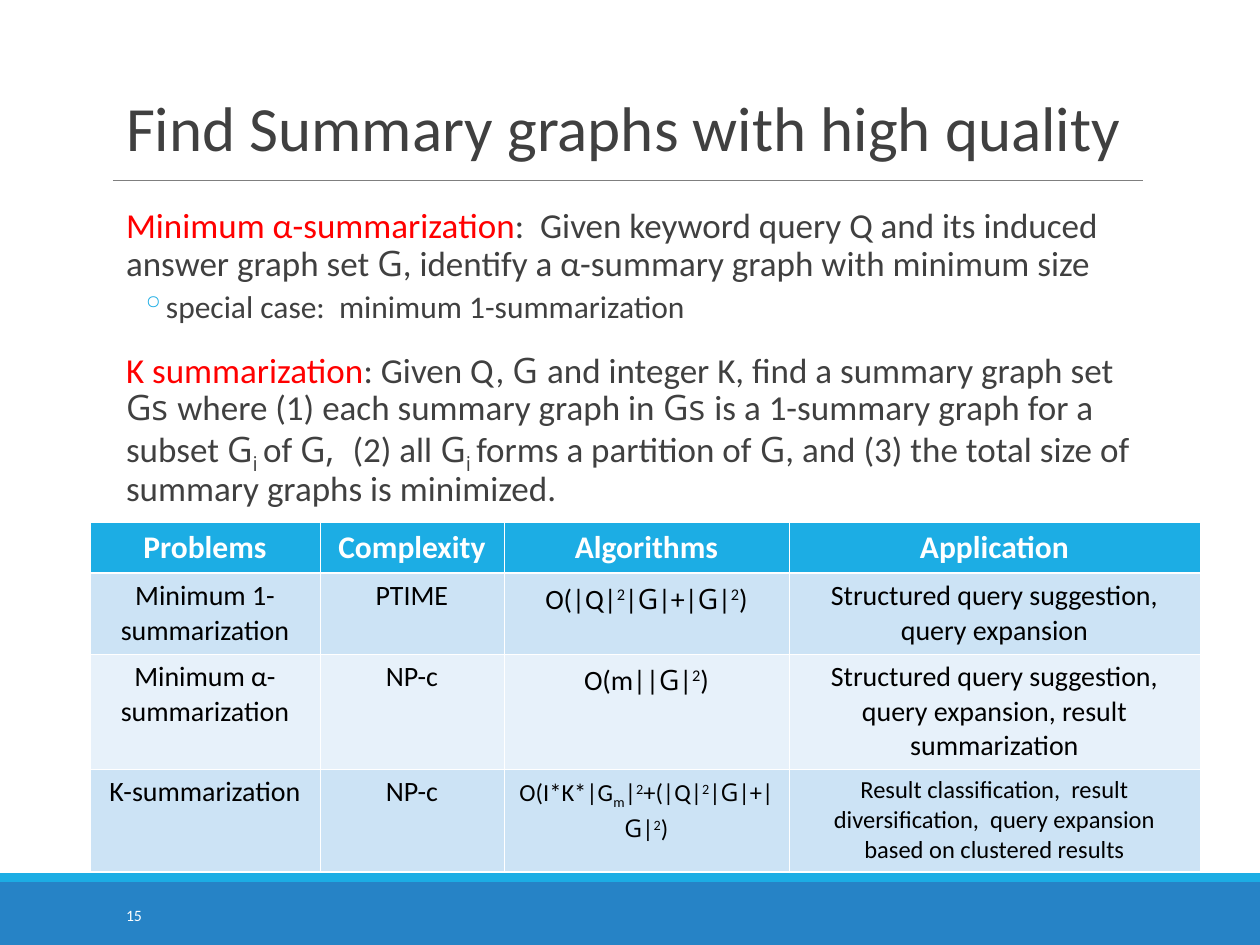
from dataclasses import dataclass

from lxml import etree
from pptx import Presentation
from pptx.dml.color import RGBColor
from pptx.enum.shapes import MSO_CONNECTOR, MSO_SHAPE
from pptx.enum.text import MSO_ANCHOR, PP_ALIGN
from pptx.oxml.ns import qn
from pptx.util import Emu, Pt

PX_PER_INCH = 126
STRAIGHT = MSO_CONNECTOR.STRAIGHT
RECTANGLE = MSO_SHAPE.RECTANGLE
TOP, MIDDLE, BOTTOM = MSO_ANCHOR.TOP, MSO_ANCHOR.MIDDLE, MSO_ANCHOR.BOTTOM
LEFT, CENTER = PP_ALIGN.LEFT, PP_ALIGN.CENTER

WHITE = RGBColor(0xFF, 0xFF, 0xFF)
BLACK = RGBColor(0x00, 0x00, 0x00)
RED = RGBColor(0xFF, 0x00, 0x00)
DARK_GREY = RGBColor(0x40, 0x40, 0x40)
RULE_GREY = RGBColor(0x7F, 0x7F, 0x7F)
BLUE = RGBColor(0x26, 0x83, 0xC6)
CYAN = RGBColor(0x1C, 0xAD, 0xE4)
BAND_DARK = RGBColor(0xCC, 0xE3, 0xF5)
BAND_LIGHT = RGBColor(0xE7, 0xF1, 0xFA)

MAIN_FONT = "Calibri"
GRAPH_FONT = "Open Sans"
THIN, THICK = 0.45, 1.47


@dataclass(frozen=True)
class Span:
    text: str
    font: str | None = None
    color: RGBColor | None = None
    baseline: int = 0


@dataclass(frozen=True)
class Para:
    spans: tuple[Span | str, ...]
    size: int
    color: RGBColor
    align: PP_ALIGN = LEFT
    bold: bool = False
    line_spacing: float = 1.0
    before: int = 0
    after: int = 0
    margin: int = 0
    hanging: int = 0
    bullet: str = ""


@dataclass(frozen=True)
class Area:
    left: int
    top: int
    width: int
    height: int


def px(length: int) -> Emu:
    return Emu(round(length * 914400 / PX_PER_INCH))


def place(area: Area) -> tuple[Emu, Emu, Emu, Emu]:
    return px(area.left), px(area.top), px(area.width), px(area.height)


def graph(text: str, baseline: int = 0) -> Span:
    return Span(text, GRAPH_FONT, baseline=baseline)


G = graph("G")
SUB_I = graph("i ", -25000)
SQUARED = Span("2", baseline=30000)

BODY = (
    Para((Span("Minimum α-summarization", color=RED),
          ":  Given keyword query Q and its induced answer graph set ", G,
          ", identify a α-summary graph with minimum size"),
         20, DARK_GREY, line_spacing=0.9, after=2, margin=13),
    Para(("special case:  minimum 1-summarization",), 18, DARK_GREY,
         line_spacing=0.9, before=2, after=4, margin=53, hanging=25, bullet="◦"),
    Para((Span("K summarization", color=RED), ": Given Q, ", graph("G "),
          "and integer K, find a summary graph set ", graph("Gs "),
          "where (1) each summary graph in ", graph("Gs "),
          "is a 1-summary graph for a subset ", G, SUB_I, "of ", graph("G,  "),
          "(2) all ", G, SUB_I, "forms a partition of ", G,
          ", and (3) the total size of summary graphs is minimized."),
         20, DARK_GREY, line_spacing=0.9, before=12, after=2, margin=13),
)

TABLE_AREA = Area(90, 522, 1110, 349)
COLUMN_WIDTHS = (230, 184, 285, 411)
ROW_HEIGHTS = (51, 81, 115, 102)
ROW_FILLS = (CYAN, BAND_DARK, BAND_LIGHT, BAND_DARK)
ROW_SIZES = ((18,) * 4, (16,) * 4, (16,) * 4, (16, 16, 14, 14))
TABLE_ROWS = (
    (("Problems",), ("Complexity",), ("Algorithms",), ("Application",)),
    (("Minimum 1-summarization",), ("PTIME",),
     ("O(|Q|", SQUARED, "|", G, "|+|", G, "|", SQUARED, ")"),
     ("Structured query suggestion, query expansion",)),
    (("Minimum α-summarization",), ("NP-c",),
     ("O(m||", G, "|", SQUARED, ")"),
     ("Structured query suggestion, query expansion, result summarization",)),
    (("K-summarization",), ("NP-c",),
     ("O(I*K*|G", Span("m", baseline=-25000), "|", SQUARED, "+(|Q|", SQUARED,
      "|", G, "|+|", G, "|", SQUARED, ")"),
     ("Result classification,  result diversification,  "
      "query expansion based on clustered results",)),
)


def add_bullet(properties, character: str) -> None:
    color = etree.SubElement(properties, qn("a:buClr"))
    etree.SubElement(color, qn("a:srgbClr"), val=str(CYAN))
    etree.SubElement(properties, qn("a:buChar"), char=character)


def write_para(paragraph, para: Para) -> None:
    paragraph.alignment = para.align
    paragraph.line_spacing = para.line_spacing
    paragraph.space_before = Pt(para.before)
    paragraph.space_after = Pt(para.after)
    properties = paragraph._p.get_or_add_pPr()
    properties.set("marL", str(px(para.margin)))
    properties.set("indent", str(-px(para.hanging)))
    if para.bullet:
        add_bullet(properties, para.bullet)
    font = paragraph.font
    font.name, font.size, font.bold = MAIN_FONT, Pt(para.size), para.bold
    font.color.rgb = para.color
    for item in para.spans:
        span = Span(item) if isinstance(item, str) else item
        run = paragraph.add_run()
        run.text = span.text
        if span.font:
            run.font.name = span.font
        if span.color is not None:
            run.font.color.rgb = span.color
        if span.baseline:
            run.font._element.set("baseline", str(span.baseline))


def add_text(slide, area: Area, paras: tuple[Para, ...], anchor=TOP, side_inset: int = 13) -> None:
    frame = slide.shapes.add_textbox(*place(area)).text_frame
    frame.word_wrap = True
    frame.vertical_anchor = anchor
    frame.margin_left = frame.margin_right = px(side_inset)
    for index, para in enumerate(paras):
        write_para(frame.add_paragraph() if index else frame.paragraphs[0], para)


def add_bar(slide, area: Area, color: RGBColor) -> None:
    bar = slide.shapes.add_shape(RECTANGLE, *place(area))
    bar.shadow.inherit = False
    bar.fill.solid()
    bar.fill.fore_color.rgb = color
    bar.line.fill.background()


def add_rule(slide, left: int, right: int, top: int) -> None:
    rule = slide.shapes.add_connector(STRAIGHT, px(left), px(top), px(right), px(top))
    rule.line.color.rgb = RULE_GREY
    rule.line.width = Pt(0.5)
    etree.SubElement(rule._element.spPr, qn("a:effectLst"))


def add_borders(cell, top: float, bottom: float) -> None:
    properties = cell._tc.get_or_add_tcPr()
    for side, width in (("L", THIN), ("R", THIN), ("T", top), ("B", bottom)):
        line = etree.SubElement(properties, qn(f"a:ln{side}"), w=str(Pt(width)))
        fill = etree.SubElement(line, qn("a:solidFill"))
        etree.SubElement(fill, qn("a:srgbClr"), val=str(WHITE))


def add_problem_table(slide) -> None:
    table = slide.shapes.add_table(len(ROW_HEIGHTS), len(COLUMN_WIDTHS), *place(TABLE_AREA)).table
    table.horz_banding = False
    for column, width in zip(table.columns, COLUMN_WIDTHS):
        column.width = px(width)
    for row_index, contents in enumerate(TABLE_ROWS):
        table.rows[row_index].height = px(ROW_HEIGHTS[row_index])
        header = row_index == 0
        for column_index, spans in enumerate(contents):
            cell = table.cell(row_index, column_index)
            add_borders(cell, THICK if row_index == 1 else THIN, THICK if header else THIN)
            cell.fill.solid()
            cell.fill.fore_color.rgb = ROW_FILLS[row_index]
            write_para(cell.text_frame.paragraphs[0],
                       Para(spans, ROW_SIZES[row_index][column_index],
                            WHITE if header else BLACK, CENTER, bold=header))


def main() -> None:
    deck = Presentation()
    deck.slide_width, deck.slide_height = px(1260), px(945)
    slide = deck.slides.add_slide(deck.slide_layouts[6])
    add_bar(slide, Area(0, 882, 1260, 63), BLUE)
    add_bar(slide, Area(0, 873, 1260, 9), CYAN)
    add_rule(slide, 113, 1143, 180)
    title = Para(("Find Summary graphs with high quality",), 36, DARK_GREY, line_spacing=0.85)
    add_text(slide, Area(113, 39, 1040, 132), (title,), BOTTOM)
    add_text(slide, Area(113, 202, 1040, 607), BODY, side_inset=0)
    add_text(slide, Area(113, 890, 256, 50), (Para(("15",), 9, WHITE),), MIDDLE)
    add_problem_table(slide)
    deck.save("out.pptx")


if __name__ == "__main__":
    main()
